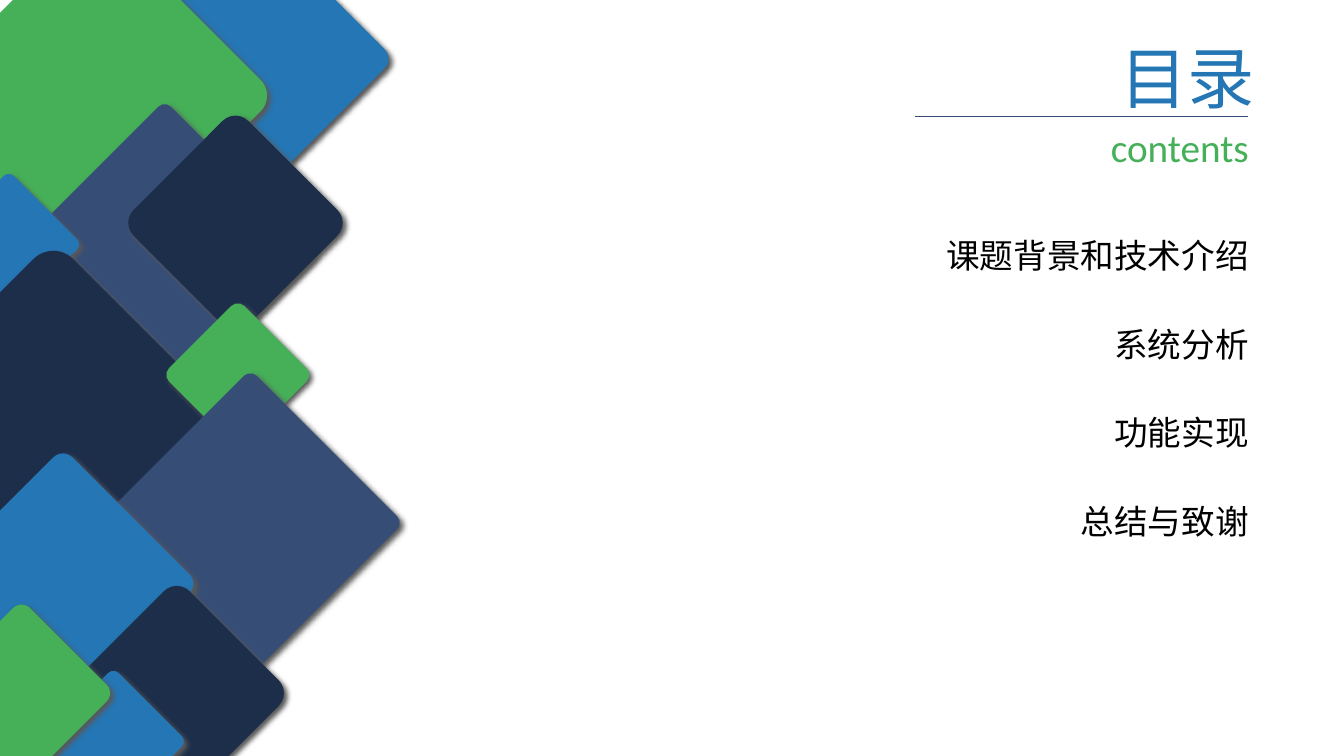
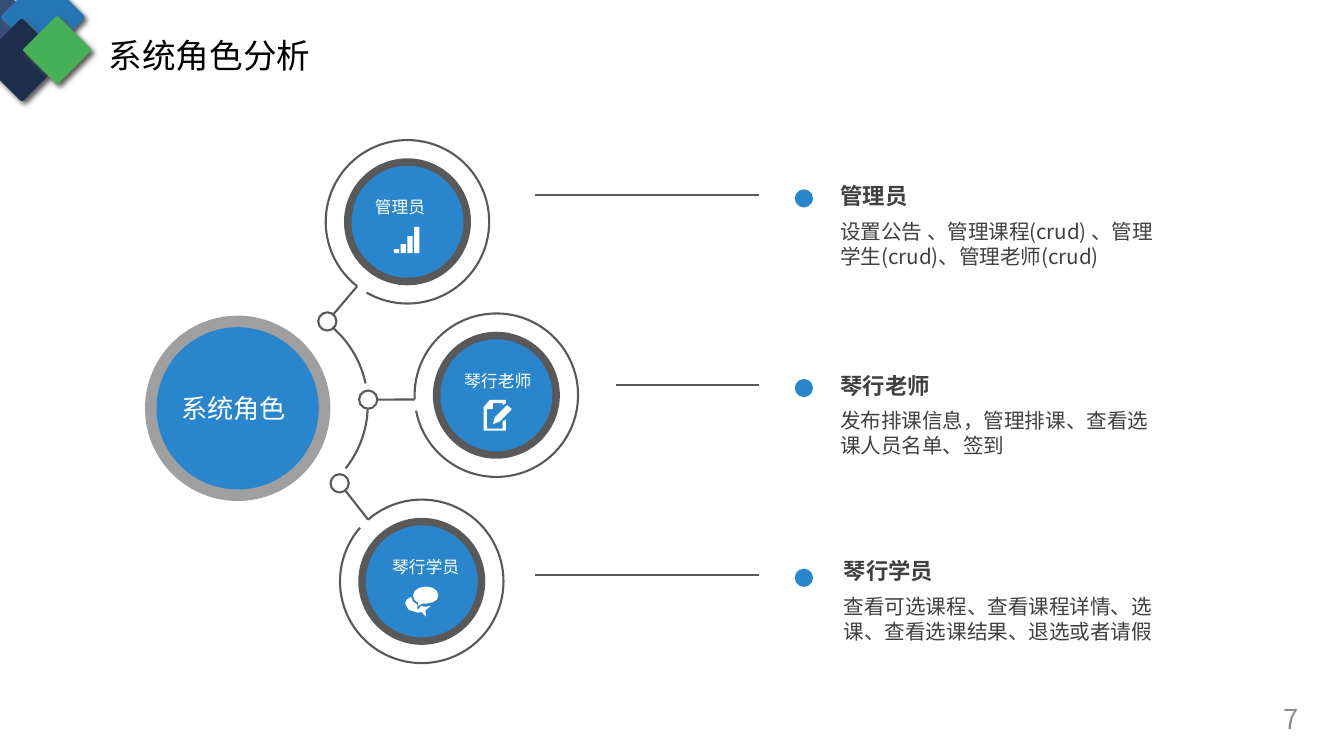
import math
from dataclasses import dataclass

from lxml import etree
from pptx import Presentation
from pptx import util as u
from pptx.dml.color import RGBColor
from pptx.enum import shapes, text
from pptx.oxml.ns import qn

SANS = "Noto Sans CJK SC"
NAVY, SLATE, BLUE, GREEN = "1D2E4B", "364D76", "2476B5", "45B058"
BADGE, GREY, INK, WHITE, BLACK = "2986CD", "595959", "404040", "FFFFFF", "000000"
CORNERS = {SLATE: 0.042, BLUE: 0.069, GREEN: 0.089, NAVY: 0.112}
OVAL, BOX, ROUND, ARC = (shapes.MSO_SHAPE.OVAL, shapes.MSO_SHAPE.RECTANGLE,
                         shapes.MSO_SHAPE.ROUNDED_RECTANGLE, shapes.MSO_SHAPE.ARC)
LEFT, RIGHT = text.PP_ALIGN.LEFT, text.PP_ALIGN.RIGHT
Point = tuple[float, float]


@dataclass
class Tile:
    left: float
    top: float
    side: float
    color: str


@dataclass
class Role:
    name: str
    duties: str
    center: Point
    ring_start: float
    joint: Point
    label_left: float
    rule_left: float
    text_left: float
    text_top: float


COVER_TILES = [
    Tile(4.08, -0.94, 4.85, BLUE), Tile(-0.76, -0.79, 6.4, GREEN),
    Tile(1.42, 3.66, 5.46, SLATE), Tile(3.89, 3.57, 4.09, NAVY),
    Tile(-1.09, 4.85, 2.62, BLUE), Tile(-1.83, 7.34, 6.35, NAVY),
    Tile(4.65, 8.1, 2.69, GREEN), Tile(3.58, 10.44, 5.46, SLATE),
    Tile(-0.84, 12.29, 4.85, BLUE), Tile(2.41, 15.42, 4.09, NAVY),
    Tile(1.55, 17.37, 2.62, BLUE), Tile(-1.12, 15.8, 3.33, GREEN),
]
HEADER_TILES = [
    Tile(-0.58, 0, 1.32, SLATE), Tile(0.32, -0.33, 1.52, BLUE),
    Tile(-0.2, 0.76, 1.5, NAVY), Tile(0.82, 0.64, 1.24, GREEN),
]
CHAPTERS = ["课题背景和技术介绍", "系统分析", "功能实现", "总结与致谢"]
ROLES = [
    Role("管理员", "设置公告 、管理课程(crud) 、管理学生(crud)、管理老师(crud)",
         (10.27, 5.59), 128, (8.25, 8.1), 8.94, 13.49, 21.18, 4.6),
    Role("琴行老师", "发布排课信息，管理排课、查看选课人员名单、签到",
         (12.51, 9.96), 177, (9.28, 10.07), 11.19, 15.53, 21.18, 9.37),
    Role("琴行学员", "查看可选课程、查看课程详情、选课、查看选课结果、退选或者请假",
         (10.63, 14.65), 229, (8.56, 12.18), 9.37, 13.49, 21.27, 14.05),
]
HUB = (5.99, 10.29)
NOTE_SHEET = [(12.67, 10.8), (12.27, 10.8), (12.27, 10.31), (12.42, 10.31),
              (12.42, 10.16), (12.67, 10.16), (12.67, 10.21), (12.75, 10.16),
              (12.75, 10.08), (12.34, 10.08), (12.19, 10.26), (12.19, 10.85),
              (12.75, 10.85), (12.75, 10.57), (12.67, 10.62)]
PENCIL = [(12.47, 10.52), (12.42, 10.69), (12.6, 10.62), (12.9, 10.31), (12.78, 10.21)]
BACK_BUBBLE = [
    (10.85, 15.27), (10.72, 15.29), (10.62, 15.27), (10.52, 15.37), (10.52, 15.24),
    (10.41, 15.16), (10.36, 15.04), (10.25, 15.11), (10.21, 15.21), (10.3, 15.37),
    (10.54, 15.44), (10.62, 15.42), (10.74, 15.54), (10.72, 15.39),
]
FRONT_BUBBLE = [
    (10.74, 14.78), (10.57, 14.81), (10.45, 14.89), (10.41, 15.01), (10.45, 15.12),
    (10.54, 15.19), (10.54, 15.27), (10.64, 15.21), (10.74, 15.21), (10.9, 15.18),
    (11.01, 15.11), (11.05, 15.01), (11.01, 14.89), (10.9, 14.81),
]


def rgb(value: str) -> RGBColor:
    return RGBColor.from_string(value)


def style(shape, fill: str | None = None, line: str | None = None):
    shape.shadow.inherit = False
    if fill:
        shape.fill.solid()
        shape.fill.fore_color.rgb = rgb(fill)
    else:
        shape.fill.background()
    if line:
        shape.line.color.rgb = rgb(line)
        shape.line.width = u.Pt(1.5)
    else:
        shape.line.fill.background()
    return shape


def add_preset(page, kind, left: float, top: float, width: float, height: float, **look):
    lengths = [u.Cm(value) for value in (left, top, width, height)]
    return style(page.shapes.add_shape(kind, *lengths), **look)


def add_disc(page, center: Point, size: float, kind=OVAL, **look):
    return add_preset(page, kind, center[0] - size / 2, center[1] - size / 2,
                      size, size, **look)


def add_badge(page, center: Point, size: float) -> None:
    badge = add_disc(page, center, size, ROUND, fill=BADGE)
    badge.adjustments[0] = 0.5


def add_arc(page, center: Point, radius: float, start: float, end: float) -> None:
    arc = add_disc(page, center, 2 * radius, ARC, line=GREY)
    for index, degrees in enumerate((start, end)):
        arc.adjustments[index] = degrees % 360 * 0.6


def add_line(page, start: Point, end: Point, color: str = GREY, width: float = 1.5):
    ends = [u.Cm(value) for value in (*start, *end)]
    line = page.shapes.add_connector(shapes.MSO_CONNECTOR.STRAIGHT, *ends)
    line.line.color.rgb = rgb(color)
    line.line.width = u.Pt(width)
    etree.SubElement(line._element.spPr, qn("a:effectLst"))


def add_outline(page, corners: list[Point], **look) -> None:
    points = [(u.Cm(x), u.Cm(y)) for x, y in corners]
    builder = page.shapes.build_freeform(*points[0])
    builder.add_line_segments(points[1:], close=True)
    style(builder.convert_to_shape(), **look)


def on_circle(center: Point, radius: float, degrees: float) -> Point:
    angle = math.radians(degrees)
    return center[0] + radius * math.cos(angle), center[1] + radius * math.sin(angle)


def write(box, content: str, *, size: float, color: str, font: str = SANS,
          bold: bool = False, align=LEFT, leading: float = 1.2,
          inset: Point = (0.25, 0.13), wrap: bool = True,
          anchor=text.MSO_ANCHOR.TOP) -> None:
    frame = box.text_frame
    frame.auto_size = text.MSO_AUTO_SIZE.NONE
    frame.word_wrap = wrap
    frame.vertical_anchor = anchor
    frame.margin_left = frame.margin_right = u.Cm(inset[0])
    frame.margin_top = frame.margin_bottom = u.Cm(inset[1])
    para = frame.paragraphs[0]
    para.alignment = align
    para.line_spacing = u.Pt(round(size * leading, 1))
    span = para.add_run()
    span.text = content
    span.font.size = u.Pt(size)
    span.font.bold = bold
    span.font.name = font
    span.font.color.rgb = rgb(color)
    etree.SubElement(span._r.get_or_add_rPr(), qn("a:ea")).set("typeface", font)


def add_text(page, content: str, left: float, top: float, width: float, height: float,
             **look) -> None:
    lengths = [u.Cm(value) for value in (left, top, width, height)]
    write(page.shapes.add_textbox(*lengths), content, **look)


def set_title(page, content: str, left: float, top: float, width: float, height: float,
              **look) -> None:
    title = page.shapes.title
    title.left, title.top = u.Cm(left), u.Cm(top)
    title.width, title.height = u.Cm(width), u.Cm(height)
    write(title, content, **look)


def add_tile(page, tile: Tile, corner: float) -> None:
    shape = add_preset(page, ROUND, tile.left, tile.top, tile.side, tile.side,
                       fill=tile.color)
    shape.rotation = 315
    shape.adjustments[0] = corner
    effects = shape._element.spPr.find(qn("a:effectLst"))
    shadow = etree.SubElement(effects, qn("a:outerShdw"), blurRad=str(u.Pt(4)),
                              dist=str(u.Pt(3)), dir="2700000", algn="tl",
                              rotWithShape="0")
    etree.SubElement(shadow, qn("a:srgbClr"), val=GREY)


def add_role(page, role: Role, rule_top: float) -> None:
    add_disc(page, role.center, 3.2, fill=GREY)
    add_badge(page, role.center, 2.82)
    add_arc(page, role.center, 2.06, role.ring_start, role.ring_start + 352)
    add_disc(page, role.joint, 0.46, line=GREY)
    tip = on_circle(role.center, 2.06, role.ring_start)
    heading = math.degrees(math.atan2(tip[1] - role.joint[1], tip[0] - role.joint[0]))
    add_line(page, tip, on_circle(role.joint, 0.23, heading))
    add_text(page, role.name, role.label_left, role.center[1] - 0.87, 2.72, 1.02,
             size=12, color=WHITE, inset=(0.51, 0.25))
    add_line(page, (role.rule_left, rule_top), (19.13, rule_top))
    add_disc(page, (20.26, rule_top + 0.08), 0.46, fill=BADGE)
    add_text(page, role.name, role.text_left, role.text_top, 5.44, 0.69,
             size=16, color=INK, bold=True, inset=(0, 0))
    add_text(page, role.duties, role.text_left, role.text_top + 0.91, 8.2, 1.24,
             size=14.67, color=INK, inset=(0, 0), leading=1.22)


def add_icons(page) -> None:
    for index, height in enumerate((0.1, 0.23, 0.43, 0.66)):
        add_preset(page, BOX, 9.93 + 0.17 * index, 6.38 - height, 0.13, height, fill=WHITE)
    for outline in (NOTE_SHEET, PENCIL, BACK_BUBBLE, FRONT_BUBBLE):
        add_outline(page, outline, fill=WHITE)


def build_contents(page) -> None:
    for tile in COVER_TILES:
        add_tile(page, tile, CORNERS[tile.color])
    set_title(page, "目录", 21.11, 0.79, 10.77, 2.31, size=48, color=BLUE, align=RIGHT)
    add_line(page, (23.06, 2.92), (31.45, 2.92), SLATE, 0.5)
    add_text(page, "contents", 25.27, 2.97, 6.45, 1.45, size=28, color=GREEN,
             font="Calibri", align=RIGHT)
    for index, chapter in enumerate(CHAPTERS):
        add_text(page, chapter, 22.7, 5.78 + 2.24 * index, 9.02, 1.27,
                 size=24, color=BLACK, align=RIGHT)


def build_roles(page) -> None:
    for tile in HEADER_TILES:
        add_tile(page, tile, 0.042)
    set_title(page, "系统角色分析", 2.49, 0.74, 9.91, 1.27, size=24, color=BLACK)
    halo = add_disc(page, HUB, 4.67, fill=INK)
    tint = halo._element.spPr.find(qn("a:solidFill"))[0]
    etree.SubElement(tint, qn("a:alpha"), val="50000")
    add_badge(page, HUB, 4.09)
    add_text(page, "系统角色", 4.06, 9.65, 3.66, 1.3, size=18.67, color=WHITE,
             inset=(0.51, 0.25), wrap=False)
    for start, end in ((-48, -12), (2.5, 38.5)):
        add_arc(page, (6.69, 10.2), 2.58, start, end)
    for index, role in enumerate(ROLES):
        add_role(page, role, 4.92 + 4.78 * index)
    add_icons(page)
    add_text(page, "7", 25.35, 17.58, 7.62, 1.02, size=19.6, color="8C8C8C",
             align=RIGHT, leading=1.28, anchor=text.MSO_ANCHOR.MIDDLE)


def main() -> None:
    deck = Presentation()
    deck.slide_width, deck.slide_height = u.Cm(33.87), u.Cm(19.05)
    for build in (build_contents, build_roles):
        build(deck.slides.add_slide(deck.slide_layouts[5]))
    deck.save("out.pptx")


if __name__ == "__main__":
    main()
